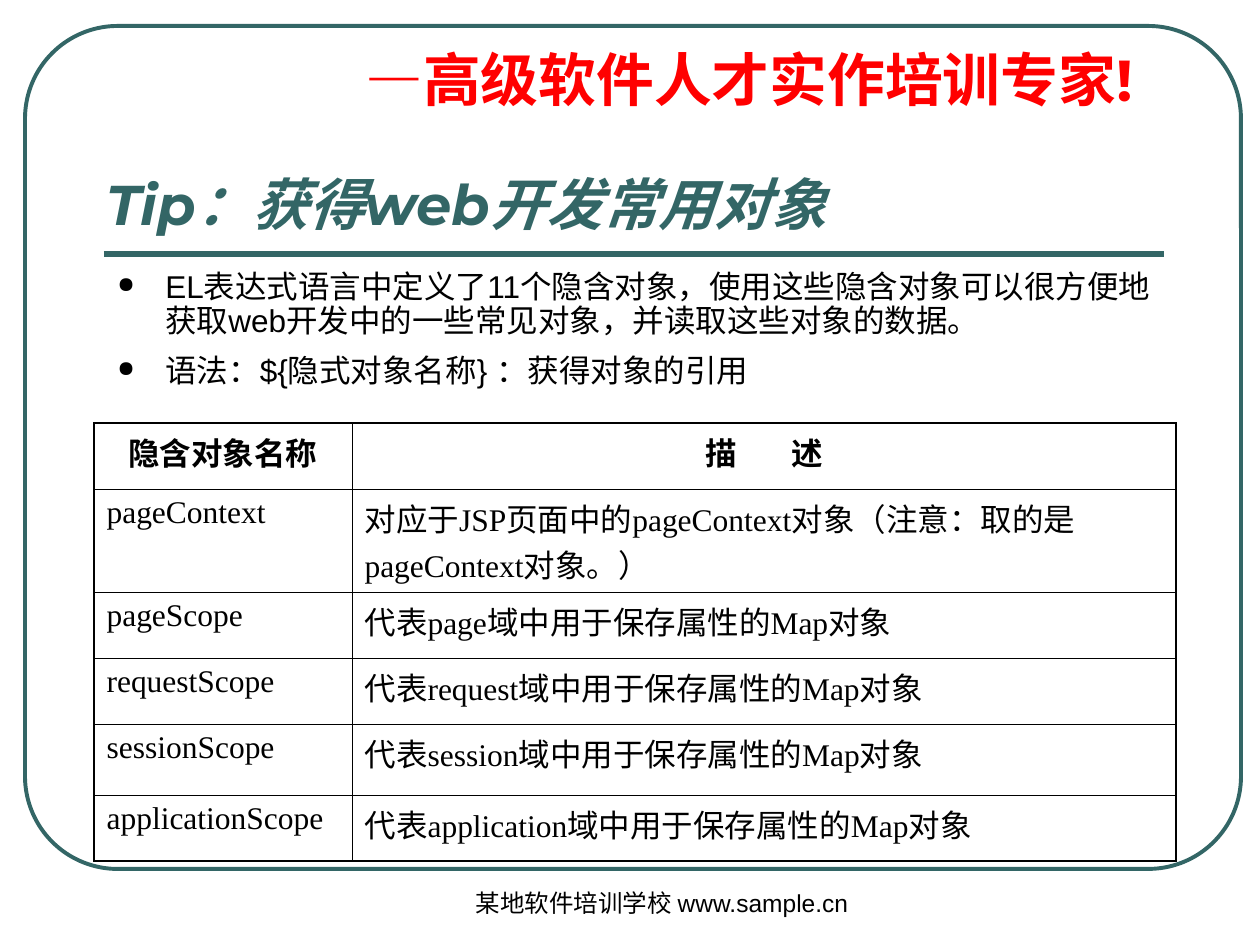
"""Build a slide about the implicit objects of the EL expression language."""
from dataclasses import dataclass
from typing import Optional

from lxml import etree
from pptx import Presentation
from pptx import util as u
from pptx.dml.color import RGBColor
from pptx.enum import shapes, text
from pptx.oxml import ns

TEAL = RGBColor(0x33, 0x66, 0x66)
RED = RGBColor(0xFF, 0x00, 0x00)
BLACK = RGBColor(0x00, 0x00, 0x00)
CJK = "Noto Sans CJK SC"
THIN, THICK = 0.45, 1.08


@dataclass(frozen=True)
class Style:
    font: str
    size: int
    color: RGBColor = BLACK
    bold: bool = False
    italic: bool = False
    east_asian: Optional[str] = CJK


@dataclass(frozen=True)
class Block:
    left: int
    top: int
    width: int
    height: int
    lines: tuple[str, ...]
    style: Style
    align: text.PP_ALIGN = text.PP_ALIGN.LEFT
    anchor: text.MSO_ANCHOR = text.MSO_ANCHOR.TOP
    spacing: Optional[float] = None
    before: float = 0
    after: float = 0
    hanging: int = 0
    bullet: Optional[str] = None


@dataclass(frozen=True)
class ScopeRow:
    name: str
    description: str
    height: int
    name_before: float = 0
    description_before: float = 0


SLOGAN = Block(353, 45, 794, 137, ("—高级软件人才实作培训专家!",),
               Style("Montserrat", 33, RED, bold=True),
               spacing=0.9, before=8.2, hanging=48)
FOOTER = Block(462, 882, 400, 63, ("某地软件培训学校 www.sample.cn",),
               Style("Arial", 14), align=text.PP_ALIGN.CENTER)
TITLE = Block(94, 45, 1061, 198, ("Tip：获得web开发常用对象",),
              Style("Montserrat", 32, TEAL, bold=True, italic=True),
              anchor=text.MSO_ANCHOR.BOTTOM)
BODY = Block(105, 265, 1061, 139,
             ("EL表达式语言中定义了11个隐含对象，使用这些隐含对象可以很方便地获取web开发中的一些常见对象，并读取这些对象的数据。",
              "语法：${隐式对象名称} ：获得对象的引用"),
             Style("Arial", 18), spacing=0.9, before=4.5, after=4.5,
             hanging=48, bullet="●")

HEADING = Style("Times New Roman", 18, bold=True)
CELL = Style("Times New Roman", 18)
COLUMNS = (258, 824)
HEADING_HEIGHT = 66
HEADING_GAP = 2700
MAP_TEXT = "代表{}域中用于保存属性的Map对象"
ROWS = (
    ScopeRow("pageContext", "对应于JSP页面中的pageContext对象（注意：取的是pageContext对象。）", 103, 4.5),
    ScopeRow("pageScope", MAP_TEXT.format("page"), 66),
    ScopeRow("requestScope", MAP_TEXT.format("request"), 66, 4.5),
    ScopeRow("sessionScope", MAP_TEXT.format("session"), 71, 0, 4.5),
    ScopeRow("applicationScope", MAP_TEXT.format("application"), 66, 4.5, 4.5),
)


def px(length: int) -> u.Emu:
    """Turn pixels into EMU."""
    return u.Emu(round(length * 914400 / 126))


def add_child(parent, tag: str, **attributes: str):
    """Append a DrawingML element."""
    return etree.SubElement(parent, ns.qn(f"a:{tag}"), attributes)


def format_runs(paragraph, style: Style) -> None:
    """Apply a style to every run of a paragraph."""
    for run in paragraph.runs:
        font = run.font
        font.name, font.size = style.font, u.Pt(style.size)
        font.bold, font.italic = style.bold, style.italic
        font.color.rgb = style.color
        if style.east_asian:
            add_child(font._element, "ea", typeface=style.east_asian)


def add_bullet(properties, bullet: str) -> None:
    """Give a paragraph a small black bullet."""
    add_child(add_child(properties, "buClr"), "srgbClr", val=str(BLACK))
    add_child(properties, "buSzPct", val="70000")
    add_child(properties, "buChar", char=bullet)


def add_block(slide, block: Block) -> None:
    """Draw a wrapped text box."""
    box = slide.shapes.add_textbox(px(block.left), px(block.top),
                                   px(block.width), px(block.height))
    frame = box.text_frame
    frame.word_wrap = True
    frame.vertical_anchor = block.anchor
    frame.text = "\n".join(block.lines)
    for paragraph in frame.paragraphs:
        paragraph.alignment = block.align
        paragraph.line_spacing = block.spacing
        paragraph.space_before = u.Pt(block.before)
        paragraph.space_after = u.Pt(block.after)
        format_runs(paragraph, block.style)
        properties = paragraph._p.get_or_add_pPr()
        if block.hanging:
            properties.set("marL", str(px(block.hanging)))
            properties.set("indent", str(-px(block.hanging)))
        if block.bullet:
            add_bullet(properties, block.bullet)


def add_frame(slide) -> None:
    """Draw the rounded border and the rule under the title."""
    border = slide.shapes.add_shape(shapes.MSO_SHAPE.ROUNDED_RECTANGLE,
                                    px(25), px(26), px(1216), px(843))
    border.adjustments[0] = 0.11
    border.shadow.inherit = False
    border.fill.background()
    border.line.color.rgb, border.line.width = TEAL, u.Pt(2.25)
    rule = slide.shapes.add_connector(shapes.MSO_CONNECTOR.STRAIGHT,
                                      px(104), px(254), px(1164), px(254))
    rule.line.color.rgb, rule.line.width = TEAL, u.Pt(3)
    add_child(rule._element.spPr, "effectLst")


def set_borders(cell, outer: dict[str, bool]) -> None:
    """Draw thick lines on outer sides of a cell and thin ones elsewhere."""
    properties = cell._tc.get_or_add_tcPr()
    for side, is_outer in outer.items():
        width = u.Pt(THICK if is_outer else THIN)
        line = add_child(properties, f"ln{side}", w=str(width))
        add_child(add_child(line, "solidFill"), "srgbClr", val=str(BLACK))


def add_scope_table(slide) -> None:
    """Draw the table of implicit objects."""
    heights = (HEADING_HEIGHT, *(row.height for row in ROWS))
    scopes = slide.shapes.add_table(len(heights), len(COLUMNS), px(94), px(423),
                                    px(sum(COLUMNS)), px(sum(heights))).table
    for column, width in zip(scopes.columns, COLUMNS):
        column.width = px(width)
    for row, height in zip(scopes.rows, heights):
        row.height = px(height)
    contents = [(("隐含对象名称", 0), ("描", 0))]
    contents += [((row.name, row.name_before), (row.description, row.description_before))
                 for row in ROWS]
    for r, entries in enumerate(contents):
        for c, (wording, before) in enumerate(entries):
            cell = scopes.cell(r, c)
            set_borders(cell, {"L": c == 0, "R": c == len(COLUMNS) - 1,
                               "T": r == 0, "B": r == len(ROWS)})
            cell.fill.background()
            paragraph = cell.text_frame.paragraphs[0]
            paragraph.text = wording
            paragraph.space_before = u.Pt(before)
            paragraph.alignment = text.PP_ALIGN.LEFT if r else text.PP_ALIGN.CENTER
            format_runs(paragraph, CELL if r else HEADING)
    heading = scopes.cell(0, 1).text_frame.paragraphs[0]
    for part in (" ", "述"):
        heading.add_run().text = part
    format_runs(heading, HEADING)
    heading.runs[1].font._element.set("spc", str(HEADING_GAP))


def main() -> None:
    """Build and save the slide."""
    deck = Presentation()
    deck.slide_width, deck.slide_height = px(1260), px(945)
    slide = deck.slides.add_slide(deck.slide_layouts[6])
    add_frame(slide)
    for block in (SLOGAN, FOOTER, TITLE, BODY):
        add_block(slide, block)
    add_scope_table(slide)
    deck.save("out.pptx")


if __name__ == "__main__":
    main()
